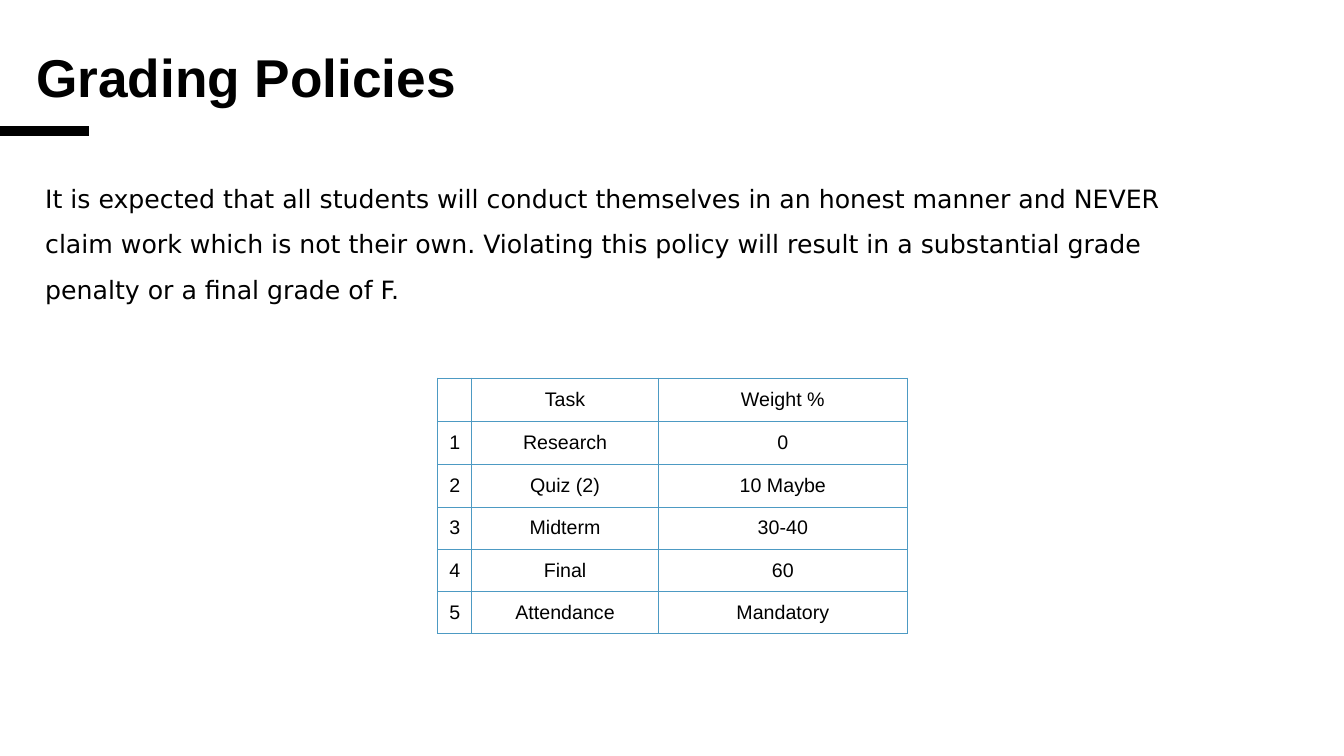
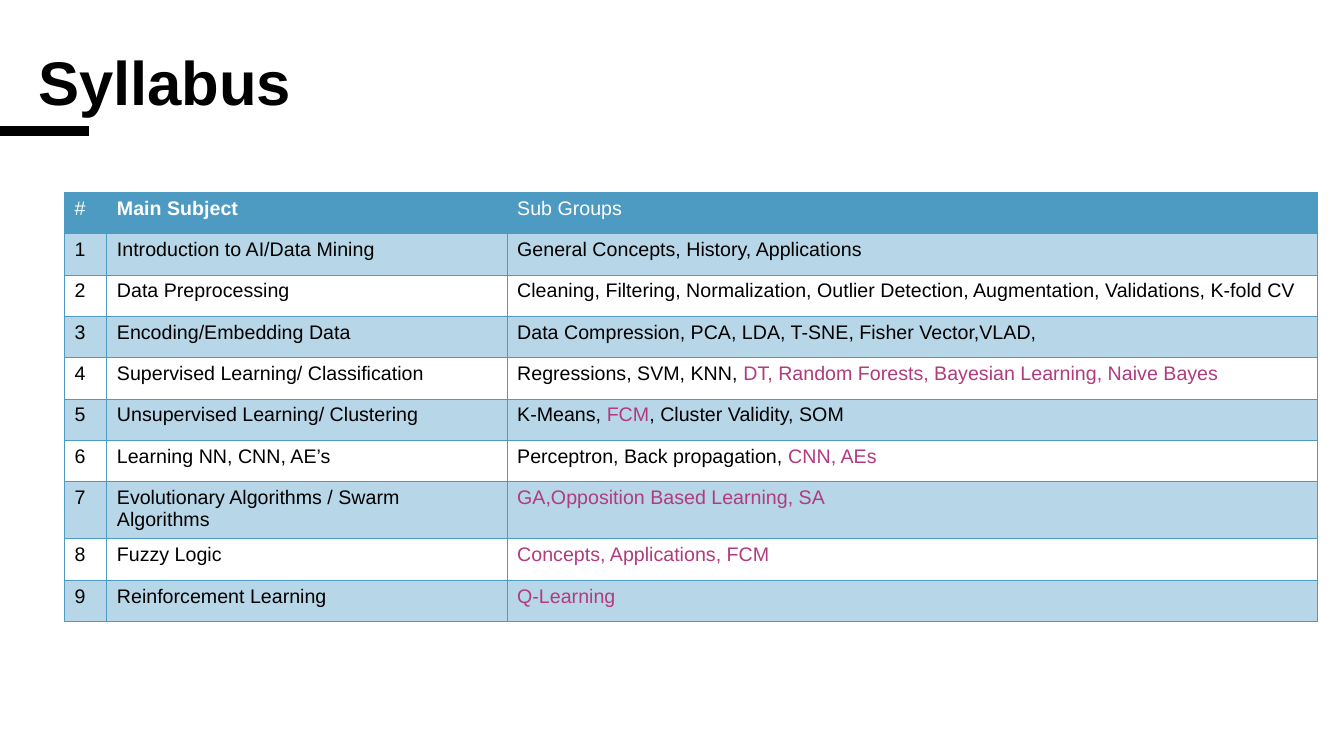
from lxml.etree import SubElement
from pptx import Presentation
from pptx.dml.color import RGBColor
from pptx.enum.shapes import MSO_CONNECTOR
from pptx.enum.text import MSO_ANCHOR, PP_ALIGN
from pptx.oxml import parse_xml
from pptx.oxml.ns import nsdecls, qn
from pptx.util import Inches, Pt

COLORS = {
    "ink": "000000",
    "white": "FFFFFF",
    "accent": "4D9AC3",
    "highlight": "B13B7E",
}
BAND_OPACITY = 40
CELL_SIZE = 14

POLICY = (
    "It is expected that all students will conduct themselves in an honest manner "
    "and NEVER claim work which is not their own. Violating this policy will result "
    "in a substantial grade penalty or a final grade of F."
)
GRADING = [
    ("", "Task", "Weight %"),
    ("1", "Research", "0"),
    ("2", "Quiz (2)", "10 Maybe"),
    ("3", "Midterm", "30-40"),
    ("4", "Final", "60"),
    ("5", "Attendance", "Mandatory"),
]
# Every second part between bars is highlighted.
SYLLABUS = [
    ("#", "Main Subject", "Sub Groups"),
    ("1", "Introduction to AI/Data Mining", "General Concepts, History, Applications"),
    ("2", "Data Preprocessing",
     "Cleaning, Filtering, Normalization, Outlier Detection, Augmentation, "
     "Validations, K-fold CV"),
    ("3", "Encoding/Embedding Data",
     "Data Compression, PCA, LDA, T-SNE, Fisher Vector,VLAD,"),
    ("4", "Supervised Learning/ Classification",
     "Regressions, SVM, KNN, |DT, Random Forests, Bayesian Learning, Naive Bayes"),
    ("5", "Unsupervised Learning/ Clustering", "K-Means, |FCM|, Cluster Validity, SOM"),
    ("6", "Learning NN, CNN, AE’s", "Perceptron, Back propagation, |CNN, AEs"),
    ("7", "Evolutionary Algorithms / Swarm Algorithms",
     "|GA,Opposition Based Learning, SA"),
    ("8", "Fuzzy Logic", "|Concepts, Applications, FCM"),
    ("9", "Reinforcement Learning", "|Q-Learning"),
]


def rgb(color):
    return RGBColor.from_string(COLORS[color])


def add_run(paragraph, text, size, color="ink", font="Arial", bold=False):
    run = paragraph.add_run()
    run.text = text
    for attribute, value in {"size": Pt(size), "name": font, "bold": bold}.items():
        setattr(run.font, attribute, value)
    run.font.color.rgb = rgb(color)


def add_text(slide, box, text, size, line_spacing, **run_format):
    frame = slide.shapes.add_textbox(*map(Inches, box)).text_frame
    frame.word_wrap = True
    paragraph = frame.paragraphs[0]
    paragraph.line_spacing = line_spacing
    add_run(paragraph, text, size, **run_format)


def add_heading(slide, box, title, size):
    """Add the short bar at the slide's left edge and the title."""
    bar = slide.shapes.add_connector(
        MSO_CONNECTOR.STRAIGHT, 0, Inches(1.3), Inches(0.88), Inches(1.3))
    bar.line.color.rgb = rgb("ink")
    bar.line.width = Pt(6.75)
    SubElement(bar._element.spPr, qn("a:effectLst"))
    add_text(slide, box, title, size, 0.85, bold=True)


def fill_cell(cell, color, opacity=100):
    cell.fill.solid()
    cell.fill.fore_color.rgb = rgb(color)
    if opacity < 100:
        color_element = cell._tc.tcPr.find(".//" + qn("a:srgbClr"))
        SubElement(color_element, qn("a:alpha"), val=str(opacity * 1000))


def outline_cell(cell):
    """Draw all four borders; they must precede the fill in the XML."""
    for index, side in enumerate(("lnL", "lnR", "lnT", "lnB")):
        cell._tc.get_or_add_tcPr().insert(index, parse_xml(
            f'<a:{side} {nsdecls("a")} w="{Pt(0.75)}"><a:solidFill>'
            f'<a:srgbClr val="{COLORS["accent"]}"/></a:solidFill></a:{side}>'))


def write_cell(cell, text, color, bold, align, anchor):
    cell.vertical_anchor = anchor
    paragraph = cell.text_frame.paragraphs[0]
    paragraph.alignment = align
    for index, part in enumerate(text.split("|")):
        if part:
            add_run(paragraph, part, CELL_SIZE,
                    "highlight" if index % 2 else color, bold=bold)


def add_grid(slide, left, top, widths, heights, rows, banded=False,
             align=PP_ALIGN.LEFT, anchor=MSO_ANCHOR.TOP):
    """Add a bordered table; banded adds a filled header and tinted odd rows."""
    table = slide.shapes.add_table(
        len(rows), len(widths), Inches(left), Inches(top),
        Inches(sum(widths)), Inches(sum(heights))).table
    table.first_row = table.horz_banding = False
    for column, width in zip(table.columns, widths):
        column.width = Inches(width)
    for row, height in zip(table.rows, heights):
        row.height = Inches(height)
    for row_index, texts in enumerate(rows):
        is_header = banded and row_index == 0
        for column_index, text in enumerate(texts):
            cell = table.cell(row_index, column_index)
            if is_header:
                fill_cell(cell, "accent")
            elif banded and row_index % 2:
                fill_cell(cell, "accent", BAND_OPACITY)
            else:
                cell.fill.background()
            outline_cell(cell)
            write_cell(cell, text, "white" if is_header else "ink",
                       is_header and column_index == 1, align, anchor)


def build_grading(slide):
    add_heading(slide, (0.26, 0.49, 10.85, 1.42), "Grading Policies", 38)
    add_grid(slide, 4.34, 3.75, (0.34, 1.85, 2.47), [0.43] * 2 + [0.42] * 4,
             GRADING, align=PP_ALIGN.CENTER, anchor=MSO_ANCHOR.MIDDLE)
    add_text(slide, (0.35, 1.62, 12, 1.41), POLICY, 18, 1.5, font="DejaVu Sans")


def build_syllabus(slide):
    add_heading(slide, (0.28, 0.5, 10.85, 1.42), "Syllabus", 44)
    add_grid(slide, 0.64, 1.91, (0.42, 3.97, 8.04), [0.41] * len(SYLLABUS),
             SYLLABUS, banded=True)


def main():
    presentation = Presentation()
    presentation.slide_width = Inches(13.33)
    presentation.slide_height = Inches(7.5)
    for build in (build_grading, build_syllabus):
        build(presentation.slides.add_slide(presentation.slide_layouts[6]))
    presentation.save("out.pptx")


if __name__ == "__main__":
    main()
